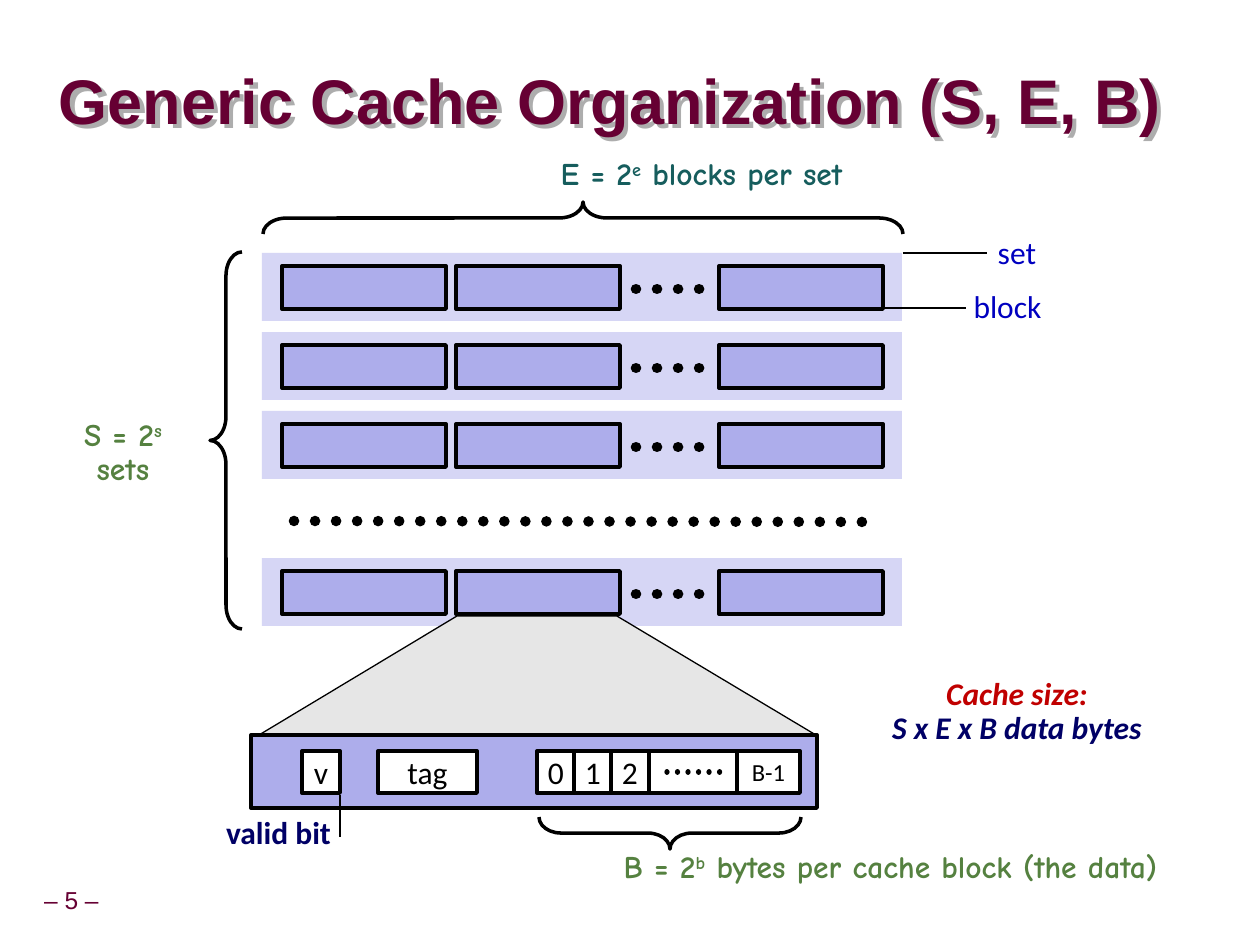
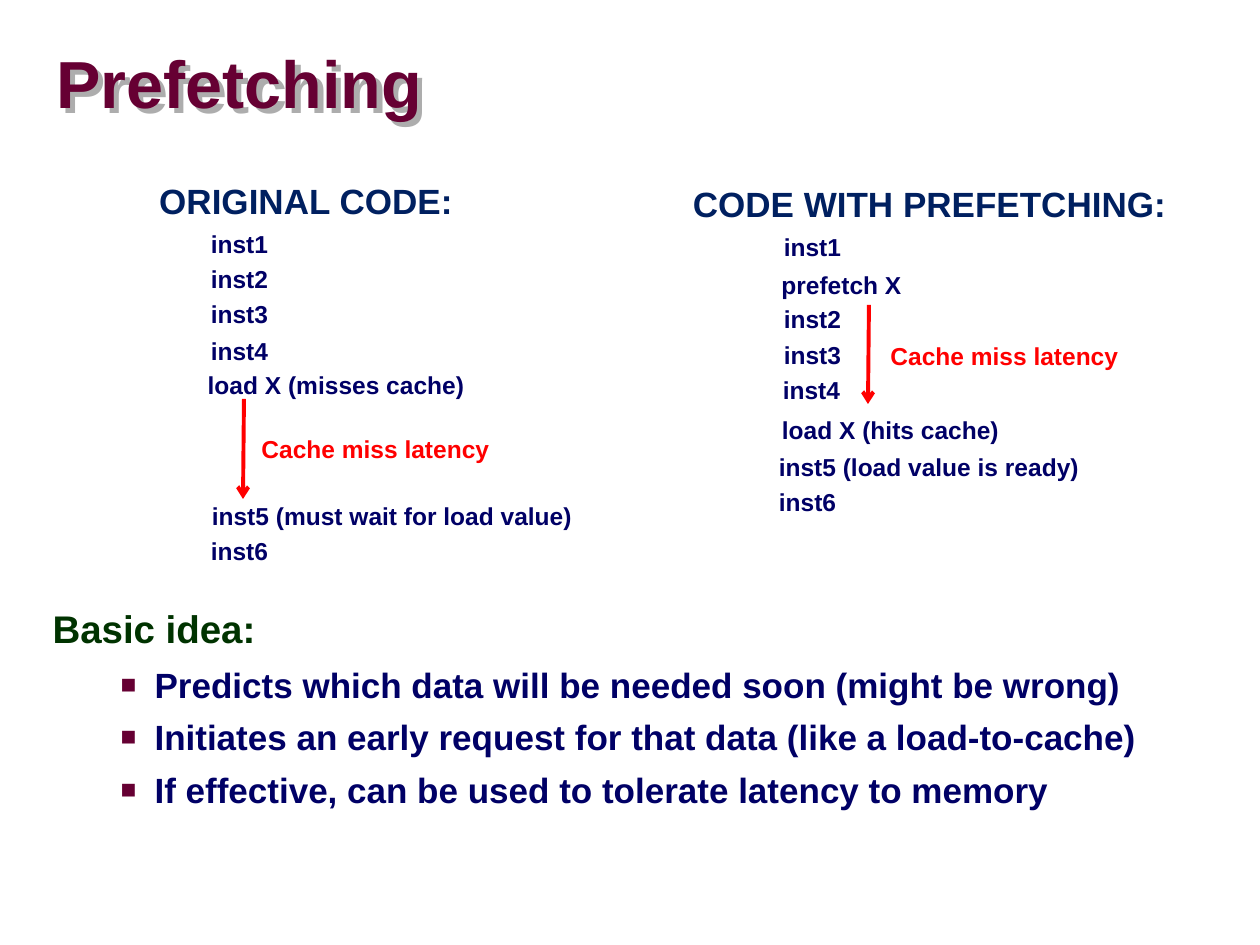
"""Build two lecture slides on cache organization and prefetching."""
from lxml.etree import SubElement
from pptx import Presentation
from pptx.dml.color import RGBColor
from pptx.enum.dml import MSO_LINE
from pptx.enum.shapes import MSO_CONNECTOR, MSO_SHAPE
from pptx.enum.text import MSO_ANCHOR, MSO_AUTO_SIZE, PP_ALIGN
from pptx.oxml.ns import qn
from pptx.util import Pt

EMU_PER_PX = 914400 / 126
COLORS = {
    "title": "660033", "shadow": "ADADAD", "navy": "000066", "heading": "002060",
    "idea": "003300", "red": "FF0000", "crimson": "C00000", "teal": "165D5D",
    "green": "558140", "blue": "0000C0", "black": "000000", "white": "FFFFFF",
    "set": "D6D6F5", "block": "ADADEB", "zoom": "E6E6E6",
}


def px(length):
    return round(length * EMU_PER_PX)


def rgb(name):
    return RGBColor.from_string(COLORS[name])


def place(shape, box):
    shape.left, shape.top, shape.width, shape.height = map(px, box)


def style_font(font, size, color, name="Arial", bold=True, italic=False):
    font.size, font.name, font.bold, font.italic = Pt(size), name, bold, italic
    font.color.rgb = rgb(color)


def style_shape(shape, fill=None, line=None):
    shape.shadow.inherit = False
    if fill:
        shape.fill.solid()
        shape.fill.fore_color.rgb = rgb(fill)
    else:
        shape.fill.background()
    if line:
        shape.line.color.rgb = rgb("black")
        shape.line.width = Pt(line)
    else:
        shape.line.fill.background()


def set_title(slide, text, box, size, shadow_offset):
    title = slide.shapes.title
    place(title, box)
    frame = title.text_frame
    frame.text = text
    frame.auto_size = MSO_AUTO_SIZE.NONE
    frame.vertical_anchor = MSO_ANCHOR.MIDDLE
    frame.margin_left = frame.margin_right = frame.margin_top = frame.margin_bottom = 0
    paragraph = frame.paragraphs[0]
    paragraph.alignment = PP_ALIGN.LEFT
    paragraph.line_spacing = 0.87
    style_font(paragraph.font, size, "title")
    effects = SubElement(title.element.spPr, qn("a:effectLst"))
    shadow = SubElement(effects, qn("a:outerShdw"), dist=str(px(shadow_offset)),
                        dir="2700000", algn="ctr", rotWithShape="0")
    SubElement(shadow, qn("a:srgbClr"), val=COLORS["shadow"])


def add_label(slide, text, box, size, color, name="Arial", bold=True,
              italic=False, line_spacing=0.9):
    label = slide.shapes.add_textbox(*map(px, box))
    frame = label.text_frame
    frame.word_wrap = False
    paragraph = frame.paragraphs[0]
    paragraph.text = text
    paragraph.alignment = PP_ALIGN.CENTER
    paragraph.line_spacing = line_spacing
    style_font(paragraph.font, size, color, name, bold, italic)
    return frame


def add_power_label(slide, base, exponent, rest, box, color):
    frame = add_label(slide, base, box, 18, color, "Comic Neue")
    paragraph = frame.paragraphs[0]
    superscript = paragraph.add_run()
    superscript.text = exponent
    superscript.font._element.set("baseline", "30000")
    paragraph.add_run().text = rest


def add_box(shapes, box, fill, line=2.25, text="", size=18):
    rectangle = shapes.add_shape(MSO_SHAPE.RECTANGLE, *map(px, box))
    style_shape(rectangle, fill, line)
    if text:
        frame = rectangle.text_frame
        frame.margin_left = frame.margin_right = 0
        frame.vertical_anchor = MSO_ANCHOR.MIDDLE
        paragraph = frame.paragraphs[0]
        paragraph.text = text
        paragraph.alignment = PP_ALIGN.CENTER
        style_font(paragraph.font, size, "black", "Calibri", False)


def add_line(shapes, start, end, width=0.75, color="black", dotted=False, arrow=False):
    connector = shapes.add_connector(MSO_CONNECTOR.STRAIGHT, *map(px, start + end))
    connector.line.color.rgb = rgb(color)
    connector.line.width = Pt(width)
    outline = connector.get_or_add_ln()
    if dotted:
        connector.line.dash_style = MSO_LINE.ROUND_DOT
        outline.set("cap", "rnd")
    if arrow:
        SubElement(outline, qn("a:tailEnd"), type="arrow")
    SubElement(connector.element.spPr, qn("a:effectLst"))


def add_brace(slide, box, rotation, curve):
    brace = slide.shapes.add_shape(MSO_SHAPE.LEFT_BRACE, *map(px, box))
    brace.rotation = rotation
    brace.adjustments[0] = curve
    style_shape(brace, line=2)


def add_cache_set(slide, top):
    shapes = slide.shapes.add_group_shape().shapes
    add_box(shapes, (262, top, 640, 68), "set", None)
    for left in (282, 456, 719):
        add_box(shapes, (left, top + 13, 164, 43), "block")
    add_line(shapes, (636, top + 36), (720, top + 36), 6, dotted=True)


def add_zoomed_block(slide):
    shapes = slide.shapes
    builder = shapes.build_freeform(259, 735, scale=EMU_PER_PX)
    builder.add_line_segments([(457, 616), (617, 616), (816, 735)], close=True)
    style_shape(builder.convert_to_shape(), "zoom", 0.75)
    add_box(shapes, (251, 735, 566, 73), "block")
    fields = [("0", 537, 38, 18), ("1", 574, 38, 18), ("2", 611, 38, 18),
              ("B-1", 737, 63, 14), ("", 649, 88, 18), ("tag", 378, 99, 18),
              ("v", 302, 38, 18)]
    for text, left, width, size in fields:
        add_box(shapes, (left, 751, width, 42), "white", text=text, size=size)
    add_line(shapes, (667, 772), (729, 772), 3, dotted=True)


def build_cache_slide(presentation):
    slide = presentation.slides.add_slide(presentation.slide_layouts[5])
    shapes = slide.shapes
    set_title(slide, "Generic Cache Organization (S, E, B)", (59, 26, 1106, 158), 36, 6)
    add_label(slide, "– 5 –", (-11, 882, 165, 39), 14, "title", bold=False)
    for top in (253, 332, 411, 558):
        add_cache_set(slide, top)
    add_line(shapes, (294, 521), (882, 522), 6, dotted=True)
    add_zoomed_block(slide)

    add_brace(slide, (567, -102, 32, 640), 90, 0.75)
    add_brace(slide, (210, 252, 32, 377), 0, 0.75)
    add_brace(slide, (654, 702, 32, 262), 270, 0.69)
    add_power_label(slide, "E = 2", "e", " blocks per set", (548, 152, 307, 47), "teal")
    add_power_label(slide, "S = 2", "s", " sets", (40, 413, 166, 47), "green")
    add_power_label(slide, "B = 2", "b", " bytes per cache block (the data)",
                    (610, 845, 561, 47), "green")

    add_line(shapes, (903, 253), (987, 253))
    add_line(shapes, (882, 308), (966, 308))
    add_line(shapes, (340, 837), (340, 795))
    for text, box in (("set", (985, 227, 64, 50)), ("block", (961, 281, 93, 50))):
        add_label(slide, text, box, 18, "blue", "Calibri", False, line_spacing=1.0)
    add_label(slide, "valid bit", (213, 811, 131, 47), 18, "navy", "Calibri")
    frame = add_label(slide, "Cache size:", (879, 672, 276, 81), 18, "crimson",
                      "Calibri", italic=True)
    formula = frame.add_paragraph()
    formula.text = "S x E x B data bytes"
    formula.alignment = PP_ALIGN.CENTER
    formula.line_spacing = 0.9
    style_font(formula.font, 18, "navy", "Calibri", italic=True)


def add_code_column(slide, heading, heading_box, instructions, latency_box, arrow):
    add_label(slide, heading, heading_box, 20, "heading")
    for text, left, top, width in instructions:
        add_label(slide, text, (left, top, width, 39), 14, "navy")
    add_label(slide, "Cache miss latency", latency_box, 14, "red")
    add_line(slide.shapes, *arrow, 2.25, "red", arrow=True)


def fill_idea_list(body, heading, points):
    place(body, (40, 602, 1145, 307))
    frame = body.text_frame
    frame.auto_size = MSO_AUTO_SIZE.NONE
    frame.text = "\n".join([heading, *points])
    for index, paragraph in enumerate(frame.paragraphs):
        properties = paragraph._p.get_or_add_pPr()
        if index == 0:
            paragraph.line_spacing = 0.95
            paragraph.space_before = Pt(13.8)
            style_font(paragraph.font, 22, "idea")
            margin, indent = 53, -53
            SubElement(properties, qn("a:buNone"))
        else:
            paragraph.level = 1
            paragraph.space_before = Pt(6.2)
            margin, indent = 102, -34
            bullet_color = SubElement(properties, qn("a:buClr"))
            SubElement(bullet_color, qn("a:srgbClr"), val=COLORS["title"])
            SubElement(properties, qn("a:buSzPct"), val="75000")
            SubElement(properties, qn("a:buFont"), typeface="Arial")
            SubElement(properties, qn("a:buChar"), char="■")
            style_font(paragraph.font, 20, "navy")
        properties.set("marL", str(px(margin)))
        properties.set("indent", str(px(indent)))


def build_prefetching_slide(presentation):
    slide = presentation.slides.add_slide(presentation.slide_layouts[1])
    set_title(slide, "Prefetching", (56, 34, 1201, 107), 38, 8)
    fill_idea_list(slide.placeholders[1], "Basic idea:", [
        "Predicts which data will be needed soon (might be wrong)",
        "Initiates an early request for that data (like a load-to-cache)",
        "If effective, can be used to tolerate latency to memory",
    ])
    add_code_column(slide, "ORIGINAL CODE:", (146, 178, 320, 50), [
        ("inst1", 198, 226, 83),
        ("inst2", 198, 261, 83),
        ("inst3", 198, 296, 83),
        ("inst4", 198, 333, 83),
        ("load X (misses cache)", 195, 367, 282),
        ("inst5 (must wait for load value)", 199, 498, 386),
        ("inst6", 198, 533, 83),
    ], (249, 431, 253, 39), ((244, 399), (243, 499)))
    add_code_column(slide, "CODE WITH PREFETCHING:", (680, 181, 499, 50), [
        ("inst1", 771, 229, 83),
        ("prefetch X", 769, 267, 145),
        ("inst2", 771, 301, 83),
        ("inst3", 771, 337, 83),
        ("inst4", 770, 372, 83),
        ("load X (hits cache)", 766, 412, 249),
        ("inst5 (load value is ready)", 766, 449, 326),
        ("inst6", 766, 484, 83),
    ], (878, 338, 253, 39), ((869, 305), (868, 404)))


def main():
    presentation = Presentation()
    presentation.slide_width, presentation.slide_height = px(1260), px(945)
    build_cache_slide(presentation)
    build_prefetching_slide(presentation)
    presentation.save("out.pptx")


if __name__ == "__main__":
    main()
